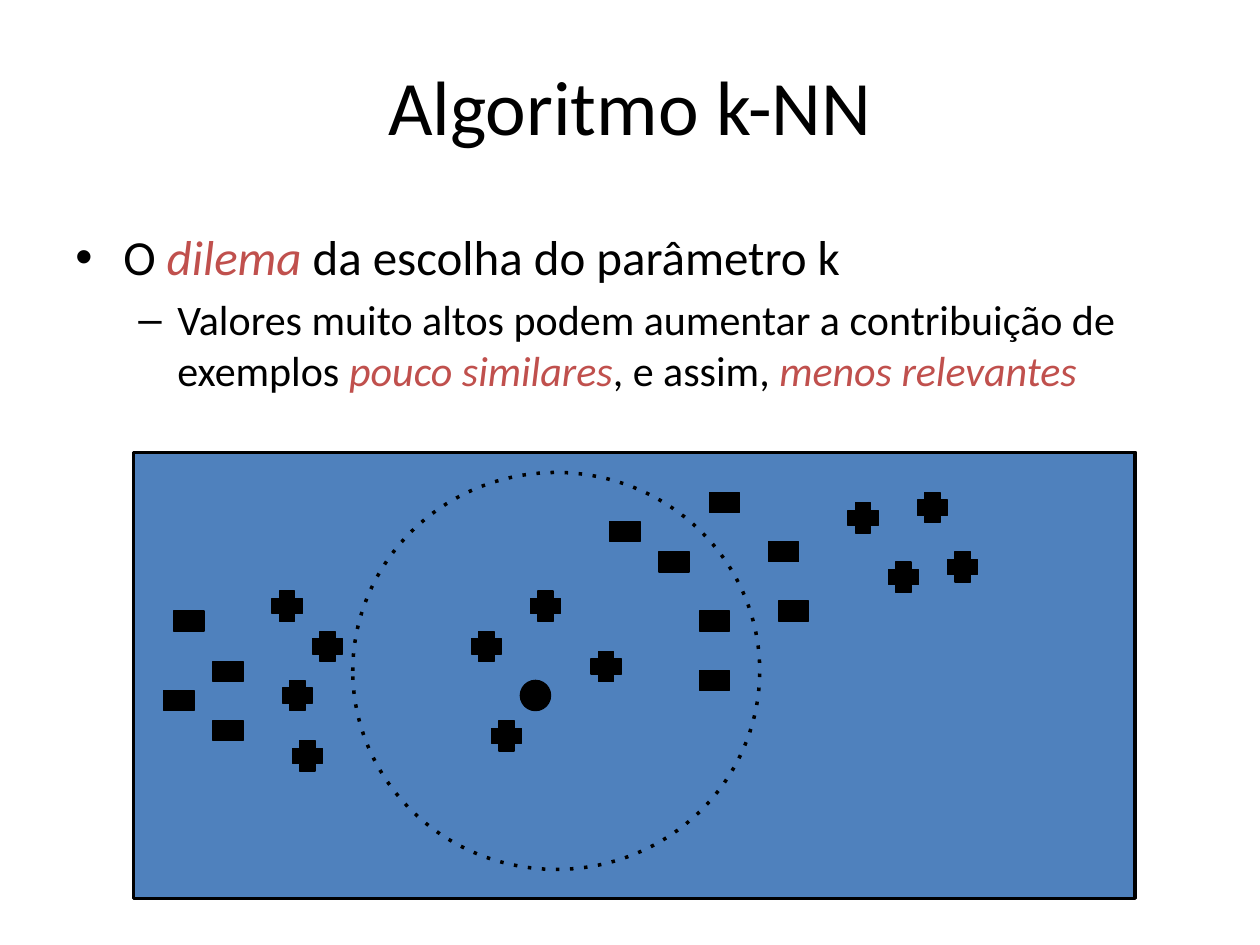
"""Build the k-NN slide on the dilemma of choosing k."""
from typing import Any, NamedTuple

from lxml import etree
from pptx import Presentation
from pptx import util as u
from pptx.dml.color import RGBColor
from pptx.enum import shapes, text
from pptx.enum.dml import MSO_LINE
from pptx.oxml.ns import qn

PX = 9144
FONT = "Calibri"
COLORS = {"ink": "000000", "accent": "C0504D", "field": "4F81BD"}
KIND = shapes.MSO_SHAPE


class Box(NamedTuple):
    left: int
    top: int
    width: int
    height: int


class Marker(NamedTuple):
    kind: Any
    width: int
    height: int
    places: list[tuple[int, int]]


class Bullet(NamedTuple):
    sign: str
    level: int
    margin: int
    hang: int
    size: int
    before: float
    runs: list[tuple[str, bool]]


TITLE_BOX = Box(50, 21, 900, 125)
BODY_BOX = Box(50, 175, 915, 495)
FIELD_BOX = Box(106, 359, 795, 354)
NEIGHBORHOOD_BOX = Box(280, 375, 323, 315)

BULLETS = [
    Bullet("•", 0, 38, 38, 28, 0, [
        ("O ", False), ("dilema", True), (" da escolha do parâmetro k", False)]),
    Bullet("–", 1, 81, 31, 24, 4.8, [
        ("Valores muito altos podem aumentar a contribuição de exemplos ", False),
        ("pouco similares", True), (", e assim, ", False), ("menos relevantes", True)]),
]

POSITIVES = Marker(KIND.CROSS, 24, 24, [
    (469, 517), (421, 469), (374, 501), (390, 572),
    (232, 588), (224, 540), (216, 469), (248, 501),
    (673, 399), (705, 446), (728, 391), (752, 438)])
NEGATIVES = Marker(KIND.RECTANGLE, 24, 16, [
    (555, 485), (484, 414), (555, 532), (523, 438),
    (610, 430), (563, 391), (618, 477),
    (169, 525), (169, 572), (130, 548), (138, 485)])
QUERY = Marker(KIND.OVAL, 24, 24, [(413, 540)])


def color(name: str) -> RGBColor:
    return RGBColor.from_string(COLORS[name])


def apply(target: Any, values: dict[str, Any]) -> None:
    for name, value in values.items():
        setattr(target, name, value)


def emu(box: Box) -> list[int]:
    return [length * PX for length in box]


def draw_shape(slide: Any, kind: Any, box: Box, fill: str | None, weight: float) -> Any:
    shape = slide.shapes.add_shape(kind, *emu(box))
    shape.shadow.inherit = False
    if fill:
        shape.fill.solid()
        shape.fill.fore_color.rgb = color(fill)
    else:
        shape.fill.background()
    shape.line.color.rgb = color("ink")
    shape.line.width = u.Pt(weight)
    return shape


def draw_markers(slide: Any, marker: Marker) -> None:
    for left, top in marker.places:
        draw_shape(slide, marker.kind, Box(left, top, marker.width, marker.height), "ink", 0.75)


def draw_neighborhood(slide: Any) -> None:
    circle = draw_shape(slide, KIND.OVAL, NEIGHBORHOOD_BOX, None, 2)
    circle.line.dash_style = MSO_LINE.ROUND_DOT
    circle.line._ln.find(qn("a:prstDash")).set("val", "dot")


def write_title(slide: Any) -> None:
    title = slide.shapes.title
    apply(title, dict(zip(("left", "top", "width", "height"), emu(TITLE_BOX))))
    title.text_frame.text = "Algoritmo k-NN"
    title.text_frame.vertical_anchor = text.MSO_ANCHOR.MIDDLE
    paragraph = title.text_frame.paragraphs[0]
    paragraph.alignment = text.PP_ALIGN.CENTER
    apply(paragraph.runs[0].font, {"name": FONT, "size": u.Pt(44)})
    paragraph.runs[0].font.color.rgb = color("ink")


def write_bullet(paragraph: Any, bullet: Bullet) -> None:
    properties = paragraph._p.get_or_add_pPr()
    properties.set("marL", str(bullet.margin * PX))
    properties.set("indent", str(-bullet.hang * PX))
    sign_color = etree.SubElement(properties, qn("a:buClr"))
    etree.SubElement(sign_color, qn("a:srgbClr"), val=COLORS["ink"])
    etree.SubElement(properties, qn("a:buFont"), typeface="Arial")
    etree.SubElement(properties, qn("a:buChar"), char=bullet.sign)
    apply(paragraph, {"level": bullet.level, "space_before": u.Pt(bullet.before)})
    for words, emphasis in bullet.runs:
        run = paragraph.add_run()
        run.text = words
        apply(run.font, {"name": FONT, "size": u.Pt(bullet.size), "italic": emphasis})
        run.font.color.rgb = color("accent" if emphasis else "ink")


def write_body(slide: Any) -> None:
    frame = slide.shapes.add_textbox(*emu(BODY_BOX)).text_frame
    frame.word_wrap = True
    for index, bullet in enumerate(BULLETS):
        write_bullet(frame.add_paragraph() if index else frame.paragraphs[0], bullet)


def main() -> None:
    deck = Presentation()
    apply(deck, {"slide_width": 1000 * PX, "slide_height": 750 * PX})
    slide = deck.slides.add_slide(deck.slide_layouts.get_by_name("Title Only"))
    write_title(slide)
    write_body(slide)
    draw_shape(slide, KIND.RECTANGLE, FIELD_BOX, "field", 2)
    draw_neighborhood(slide)
    for marker in (POSITIVES, NEGATIVES, QUERY):
        draw_markers(slide, marker)
    deck.save("out.pptx")


if __name__ == "__main__":
    main()
